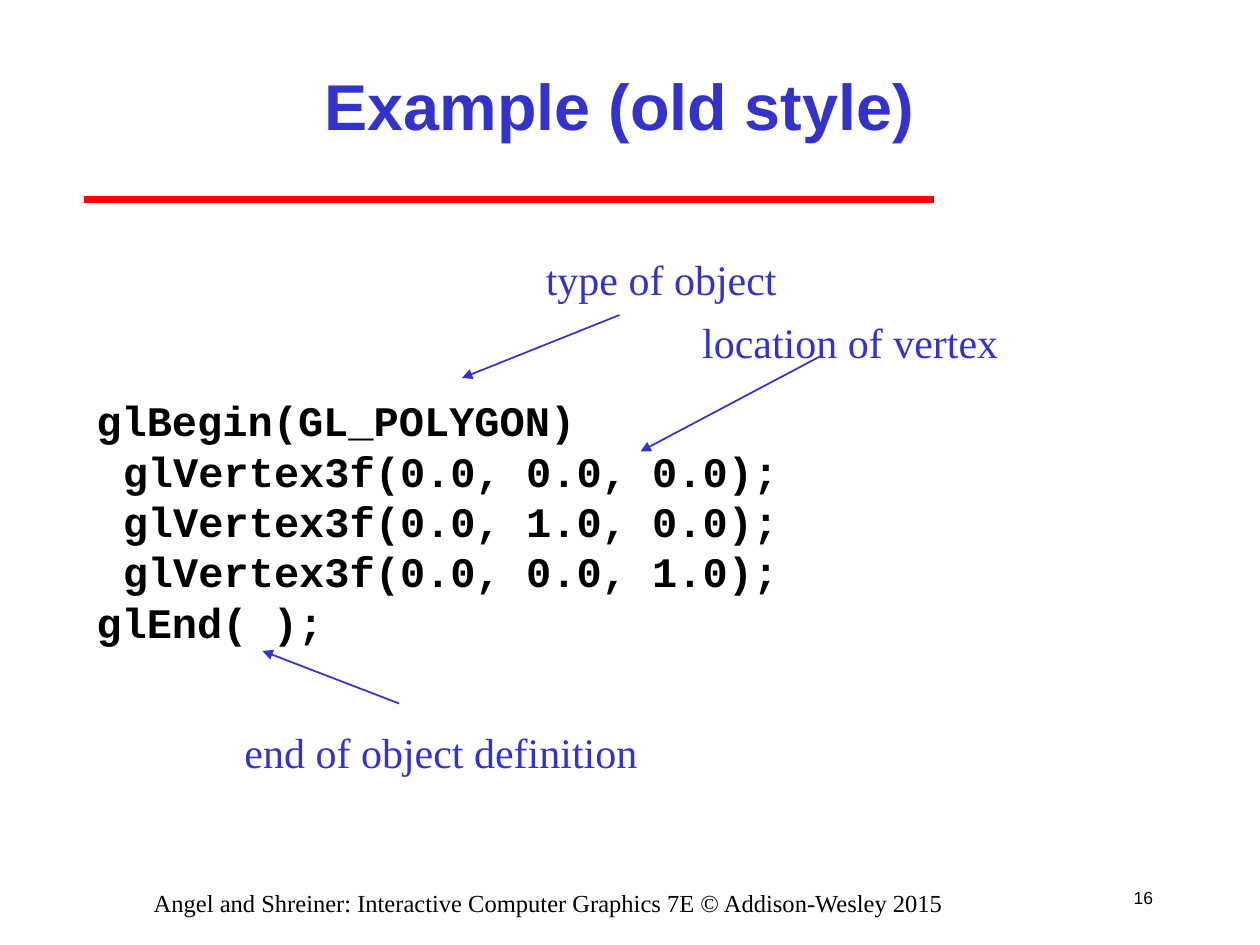
from lxml.etree import SubElement
from pptx import Presentation
from pptx.dml.color import RGBColor
from pptx.enum.shapes import MSO_CONNECTOR as Connector
from pptx.enum.text import MSO_ANCHOR as Anchor, PP_ALIGN as Align
from pptx.oxml.ns import qn
from pptx.util import Inches, Pt

COLUMNS, ROWS = 120, 90
UNIT = Inches(10) // COLUMNS
BLUE, RED, BLACK = "3333CC", "FF0000", "000000"
CODE = [
    "glBegin(GL_POLYGON)",
    "\tglVertex3f(0.0, 0.0, 0.0);",
    "\tglVertex3f(0.0, 1.0, 0.0);",
    "\tglVertex3f(0.0, 0.0, 1.0);",
    "glEnd( );",
]
NOTES = [
    ("type of object", (50.8, 23.6, 25, 6), (59, 30), (44, 36)),
    ("location of vertex", (65.7, 29.6, 31.5, 6), (78, 34), (61, 43)),
    ("end of object definition", (22.1, 68.6, 40.5, 6), (38, 67), (25, 62)),
]


def color(code):
    """Turn a hex string into a colour."""
    return RGBColor.from_string(code)


def grid(*units):
    """Turn grid units into slide lengths."""
    return [round(unit * UNIT) for unit in units]


def add_text(page, box, text, *, font="Times New Roman", size=24, ink=BLUE,
             bold=False, align=Align.LEFT, anchor=Anchor.TOP, wrap=True,
             hang=0, pitch=None):
    """Place one paragraph per line of text in the box."""
    frame = page.shapes.add_textbox(*grid(*box)).text_frame
    frame.word_wrap = wrap
    frame.vertical_anchor = anchor
    frame.text = text
    for para in frame.paragraphs:
        para.alignment = align
        if pitch:
            para.line_spacing = Pt(pitch)
        if hang:
            layout = para._p.get_or_add_pPr()
            layout.set("marL", str(Inches(hang)))
            layout.set("indent", str(-Inches(hang)))
        for span in para.runs:
            span.font.name = font
            span.font.size = Pt(size)
            span.font.bold = bold
            span.font.color.rgb = color(ink)


def add_line(page, start, end, ink, width, arrow=False):
    """Draw a straight line, with an arrowhead at its end if asked."""
    line = page.shapes.add_connector(Connector.STRAIGHT, *grid(*start, *end))
    line.line.color.rgb = color(ink)
    line.line.width = Pt(width)
    if arrow:
        SubElement(line.line._get_or_add_ln(), qn("a:tailEnd"), type="triangle")
    SubElement(line._element.spPr, qn("a:effectLst"))


def add_heading(page, box):
    """Place the title and the red rule below it."""
    left, top, width, height = box
    add_line(page, (left, top + 16), (left + 81, top + 16), RED, 4)
    add_text(page, (left + 10, top, width - 20, height), "Example (old style)",
             font="Arial", size=37, bold=True, align=Align.CENTER,
             anchor=Anchor.MIDDLE)


def add_code(page, box):
    """Place the code listing."""
    add_text(page, box, "\n".join(CODE), font="Courier New", ink=BLACK,
             bold=True, hang=0.21, pitch=28.8)


def add_note(page, text, box, start, end):
    """Place a label and the arrow from it to the code."""
    add_text(page, box, text)
    add_line(page, start, end, BLUE, 1, arrow=True)


def add_footer(page, box):
    """Place the credit line and the page number."""
    left, top, width, height = box
    add_text(page, (left, top, width - 12.5, height),
             "Angel and Shreiner: Interactive Computer Graphics 7E © Addison-Wesley 2015",
             size=14, ink=BLACK, align=Align.CENTER)
    add_text(page, (left + width - 5, top - 1, 5, 5), "16", font="Arial",
             size=10, ink=BLACK, align=Align.RIGHT, anchor=Anchor.MIDDLE,
             wrap=False)


def main():
    """Build the slide and save it."""
    deck = Presentation()
    deck.slide_width, deck.slide_height = grid(COLUMNS, ROWS)
    page = deck.slides.add_slide(deck.slide_layouts[6])
    add_heading(page, (8, 3, 102, 14))
    add_code(page, (8, 37, 102, 28))
    for note in NOTES:
        add_note(page, *note)
    add_footer(page, (6, 84, 105, 3))
    deck.save("out.pptx")


if __name__ == "__main__":
    main()
